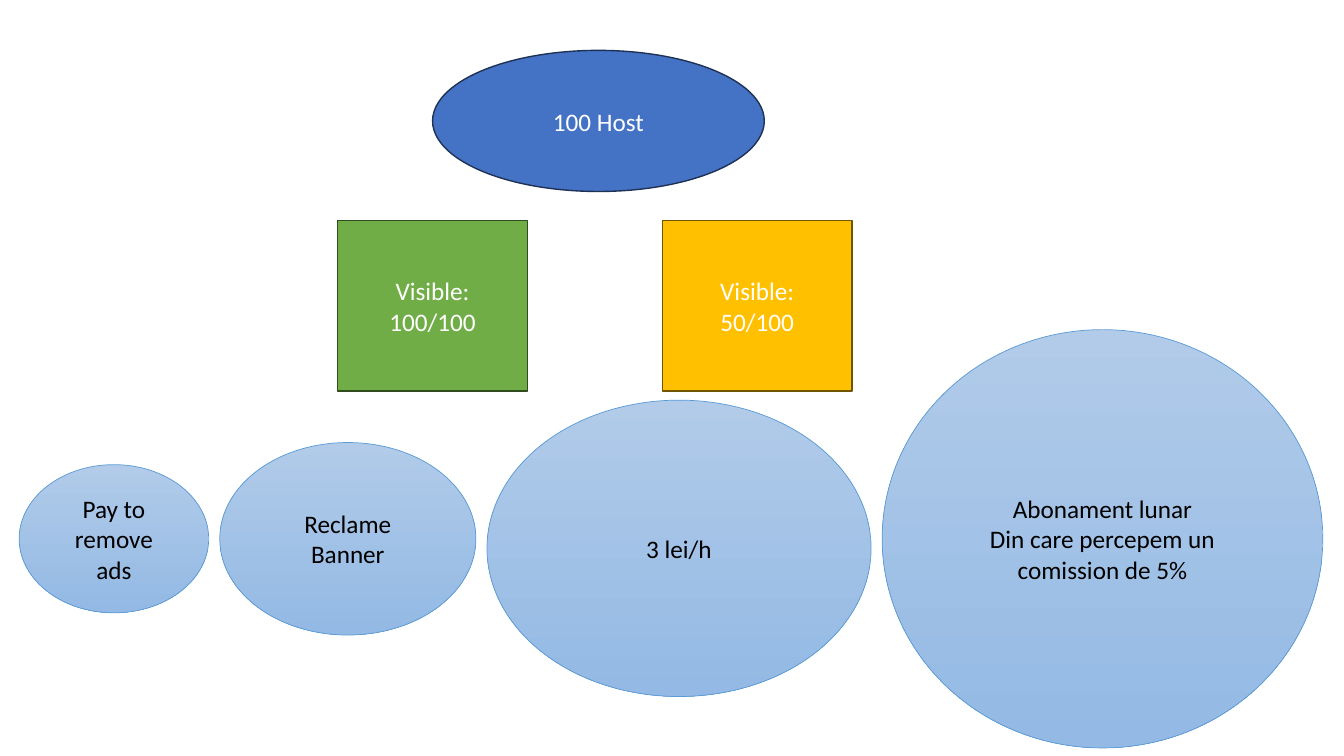
from dataclasses import dataclass

from pptx import Presentation
from pptx.dml.color import RGBColor
from pptx.enum import shapes, text
from pptx.util import Inches, Pt


@dataclass(frozen=True)
class Theme:
    font: str = "Calibri"
    size: int = 18
    white: str = "FFFFFF"
    black: str = "000000"
    host: tuple = ("4472C4", "1E3256")
    full: tuple = ("70AD47", "314C1F")
    half: tuple = ("FFC000", "705400")
    income_gradient: tuple = ("B1CBE9", "93B9E4")
    income_line: str = "5B9BD5"


theme = Theme()

HOST = "100 Host"
VISIBILITY = [
    (["Visible:\v100/100"], theme.full),
    (["Visible:\v50/100"], theme.half),
]
INCOME = [
    (["Pay to remove ads"], 4.61, 1.88, 1.47),
    (["Reclame Banner"], 4.39, 2.54, 1.91),
    (["3 lei/h"], 3.97, 3.81, 2.94),
    (["Abonament lunar", "Din care percepem un comission de 5%"], 3.27, 4.37, 4.15),
]

OVAL = shapes.MSO_SHAPE.OVAL
RECTANGLE = shapes.MSO_SHAPE.RECTANGLE


def write(shape, lines, color=theme.white, size=theme.size, font=theme.font):
    frame = shape.text_frame
    frame.word_wrap = True
    frame.vertical_anchor = text.MSO_ANCHOR.MIDDLE
    for index, line in enumerate(lines):
        paragraph = frame.add_paragraph() if index else frame.paragraphs[0]
        paragraph.text = line
        paragraph.alignment = text.PP_ALIGN.CENTER
        for run in paragraph.runs:
            run.font.name = font
            run.font.size = Pt(size)
            run.font.color.rgb = RGBColor.from_string(color)


def add_block(slide, kind, box, fills, line, line_width=1):
    shape = slide.shapes.add_shape(kind, *map(Inches, box))
    shape.shadow.inherit = False
    if len(fills) == 1:
        shape.fill.solid()
        shape.fill.fore_color.rgb = RGBColor.from_string(fills[0])
    else:
        shape.fill.gradient()
        shape.fill.gradient_angle = 270
        for stop, color in zip(shape.fill.gradient_stops, fills):
            stop.color.rgb = RGBColor.from_string(color)
    shape.line.color.rgb = RGBColor.from_string(line)
    shape.line.width = Pt(line_width)
    return shape


presentation = Presentation()
presentation.slide_width = Inches(13.33)
presentation.slide_height = Inches(7.5)
slide = presentation.slides.add_slide(presentation.slide_layouts[6])

fill, line = theme.host
write(add_block(slide, OVAL, (4.29, 0.5, 3.29, 1.4), [fill], line), [HOST])

for index, (lines, (fill, line)) in enumerate(VISIBILITY):
    box = (3.35 + index * 3.22, 2.19, 1.88, 1.69)
    write(add_block(slide, RECTANGLE, box, [fill], line), lines)

left, gap = 0.19, 0.11
for lines, top, width, height in INCOME:
    circle = add_block(slide, OVAL, (left, top, width, height),
                       theme.income_gradient, theme.income_line, line_width=0.5)
    write(circle, lines, color=theme.black)
    left += width + gap

presentation.save("out.pptx")
